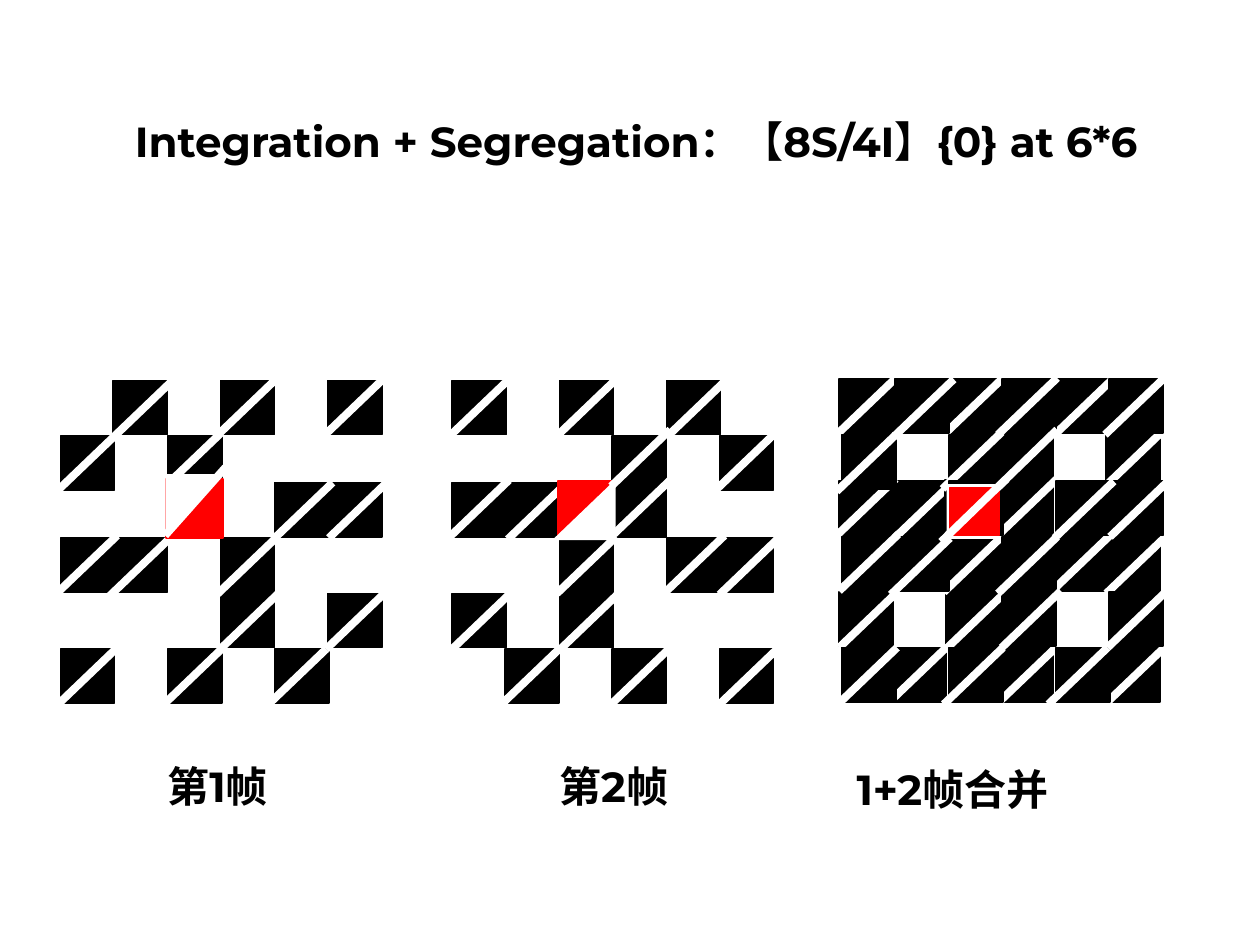
from lxml import etree
from pptx import Presentation
from pptx.dml.color import RGBColor
from pptx.enum.shapes import MSO_CONNECTOR, MSO_SHAPE
from pptx.enum.text import MSO_ANCHOR, MSO_AUTO_SIZE, PP_ALIGN
from pptx.oxml.ns import qn
from pptx.util import Pt

LINE = MSO_CONNECTOR.STRAIGHT
RECT = MSO_SHAPE.RECTANGLE
TRIANGLE = MSO_SHAPE.ISOSCELES_TRIANGLE
LEFT, TOP = PP_ALIGN.LEFT, MSO_ANCHOR.TOP
GROW = MSO_AUTO_SIZE.SHAPE_TO_FIT_TEXT

PX = 9144  # 100 px to the inch
THEME = {
    "font": "Montserrat", "text_pt": 24, "edge_pt": 1, "stripe_pt": 4.5,
    "black": RGBColor(0, 0, 0), "white": RGBColor(255, 255, 255), "red": RGBColor(255, 0, 0),
}

prs = Presentation()
prs.slide_width, prs.slide_height = 1000 * PX, 750 * PX
slide = prs.slides.add_slide(prs.slide_layouts[5])


def write(sp, text, size=THEME["text_pt"], bold=True, color="black"):
    tf = sp.text_frame
    tf.word_wrap, tf.auto_size, tf.vertical_anchor = True, GROW, TOP
    p = tf.paragraphs[0]
    p.alignment = LEFT
    r = p.add_run()
    r.text = text
    r.font.name, r.font.size, r.font.bold = THEME["font"], Pt(size), bold
    r.font.color.rgb = THEME[color]


def draw(kind, x, y, w, h, color="white", rotation=0):
    """Add a stripe from (x, y) to (x + w, y + h), or a filled shape in that box."""
    if kind is LINE:  # members of different enums can be equal as numbers
        s = slide.shapes.add_connector(kind, x * PX, y * PX, (x + w) * PX, (y + h) * PX)
        etree.SubElement(s._element.spPr, qn("a:effectLst"))
        s.line.width = Pt(THEME["stripe_pt"])
    else:
        s = slide.shapes.add_shape(kind, x * PX, y * PX, w * PX, h * PX)
        s.shadow.inherit = False
        s.fill.solid()
        s.fill.fore_color.rgb = THEME[color]
        s.line.width = Pt(THEME["edge_pt"])
        s.rotation = rotation
        if kind is TRIANGLE:
            s.adjustments[0] = 1.0  # right angle at the right end
    s.line.color.rgb = THEME[color]


# Each frame is a 6 by 6 grid; stripes are given by their upper right ends.
CELL = 43
COLUMNS = [0, 42, 85, 127, 170, 212]
ROWS = [0, 44, 81, 125, 169, 213]
STRIPE = (-47, 45)
FRAME_1 = {
    "origin": (48, 302),
    "mask": [".#.#.#", "#.#...", "....##", "##.#..", "...#.#", "#.#.#."],
    "stripes": [(137, 302), (91, 346), (219, 301), (175, 344), (304, 301),
                (134, 428), (93, 425), (264, 383), (308, 382), (219, 427),
                (222, 470), (306, 470), (259, 515), (176, 515), (92, 515)],
}
FRAME_2 = {
    "origin": (359, 302),
    "mask": ["#.#.#.", "...#.#", "##.#..", "..#.##", "#.#...", ".#.#.#"],
    "stripes": [(404, 301), (488, 302), (577, 301), (404, 381), (450, 383),
                (533, 380), (489, 426), (406, 470), (615, 344), (575, 425),
                (618, 427), (492, 470), (445, 514), (532, 514), (618, 514)],
}
# White overlays leave one half of each central square.
CENTRE_2 = [(RECT, 443, 382, 43, 43, "red"), (TRIANGLE, 440, 382, 48, 46, "white")]
CENTRE_1 = [(RECT, 132, 380, 45, 47, "red"), (LINE, 179, 371, -48, 54),
            (TRIANGLE, 132, 377, 40, 43, "white", 180)]
MERGED_2 = [(RECT, 443, 382, 43, 43, "black"), CENTRE_2[1]]
MERGED_1 = [(RECT, 133, 383, 43, 43, "black"), (LINE, 179, 381, *STRIPE),
            (TRIANGLE, 132, 386, 40, 36, "white", 180),
            (RECT, 134, 388, 39, 38, "red"), (LINE, 219, 342, -92, 89)]

layers = [
    (FRAME_2, 0, 0, CENTRE_2 + [(LINE, 532, 341, *STRIPE)]),
    (FRAME_2, 307, -1, MERGED_2),
    (FRAME_1, 620, -1, MERGED_1),
    (FRAME_1, 0, 0, CENTRE_1),
]
for frame, dx, dy, centre in layers:
    left, top = frame["origin"]
    for row, marks in zip(ROWS, frame["mask"]):
        for column, mark in zip(COLUMNS, marks):
            if mark == "#":
                draw(RECT, left + column + dx, top + row + dy, CELL, CELL, "black")
    for x, y in frame["stripes"]:
        draw(LINE, x + dx, y + dy, *STRIPE)
    for kind, x, y, *rest in centre:
        draw(kind, x + dx, y + dy, *rest)

for text, x, y, w in [("第1帧", 123, 599, 120), ("第2帧", 434, 599, 120), ("1+2帧合并", 670, 601, 223)]:
    write(slide.shapes.add_textbox(x * PX, y * PX, w * PX, 50 * PX), text)

title = slide.shapes.title
title.left, title.top, title.width, title.height = 97 * PX, 87 * PX, 867 * PX, 50 * PX
write(title, "Integration + Segregation：【8S/4I】{0} at 6*6")

prs.save("out.pptx")
